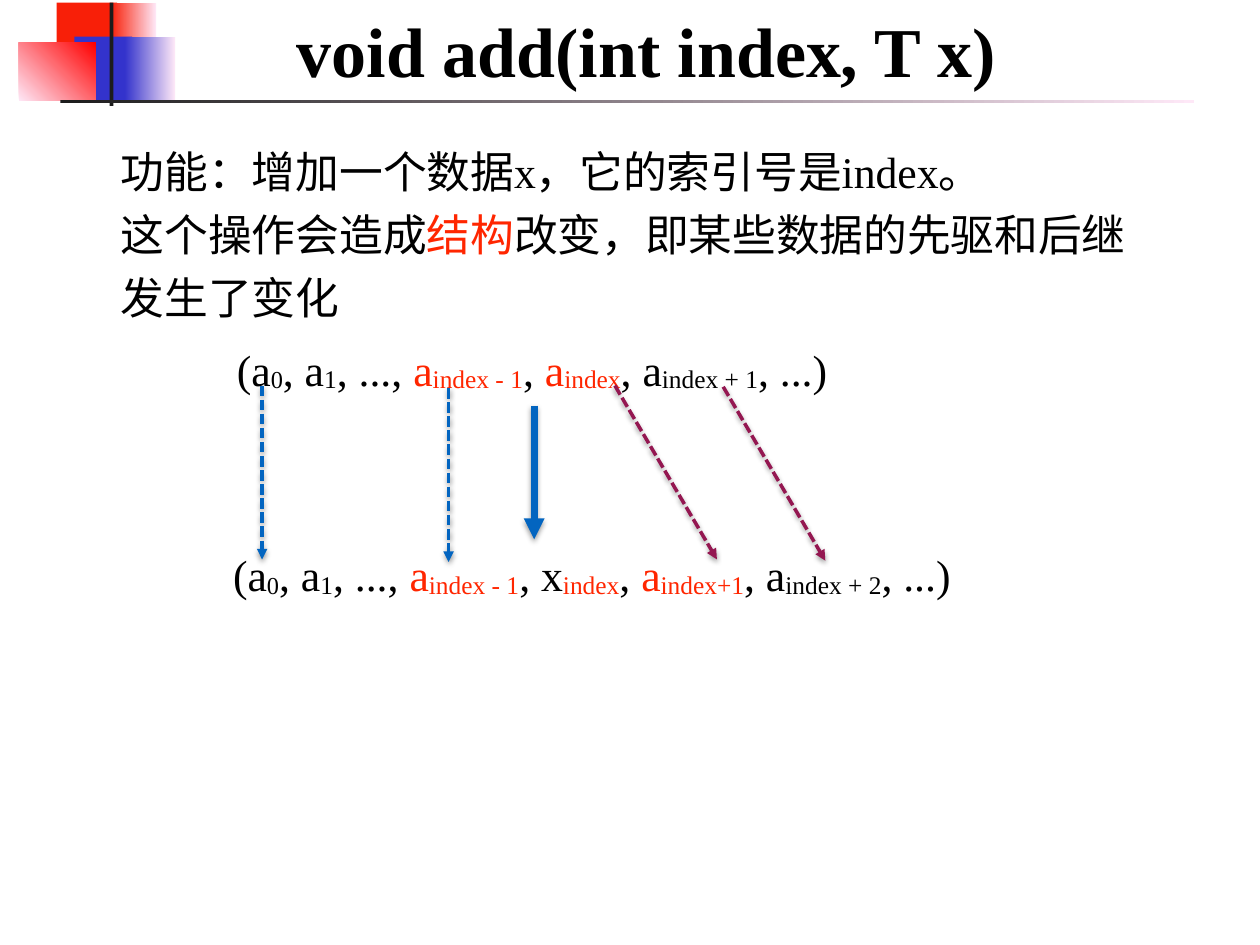
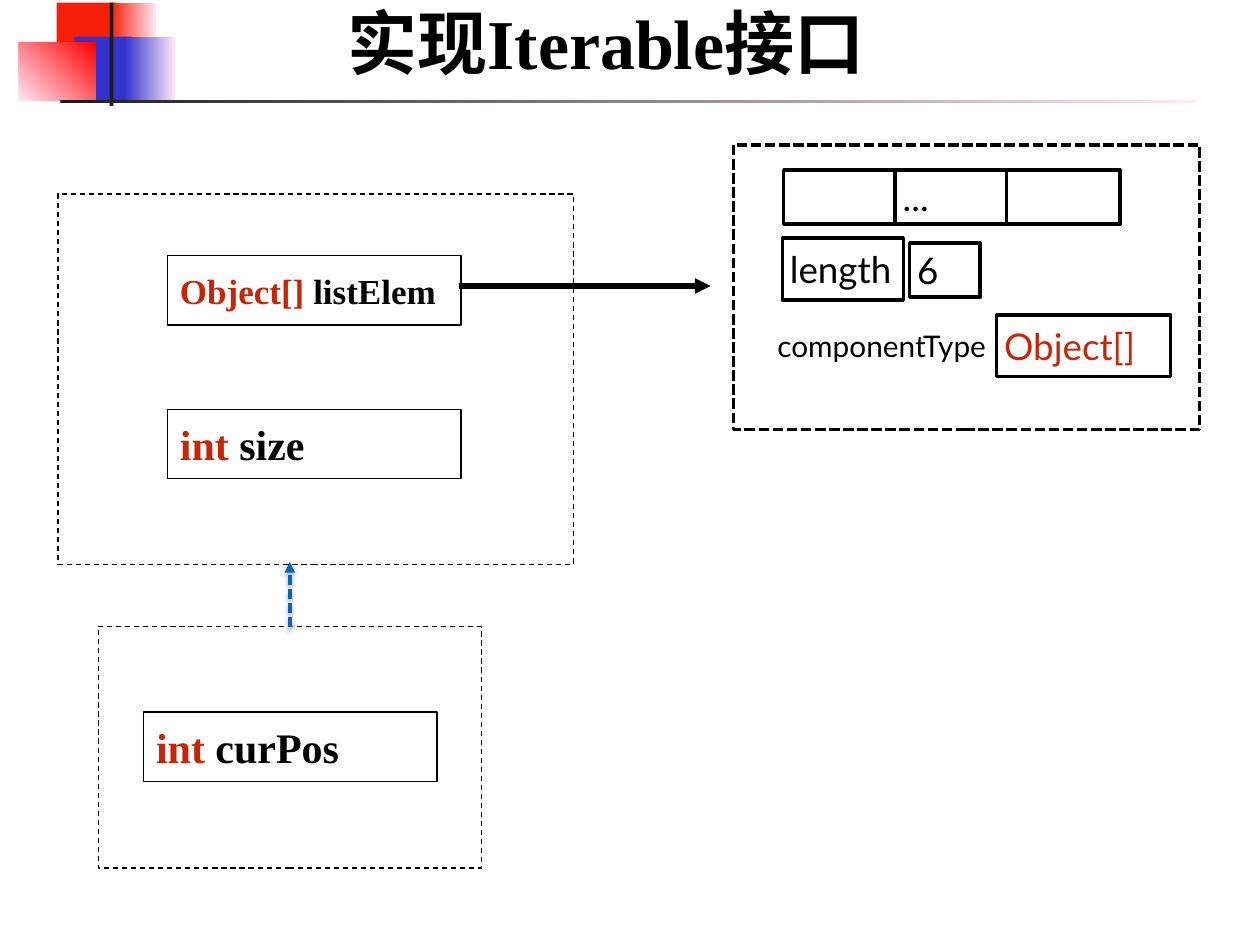
from lxml import etree
from pptx import Presentation
from pptx import util as u
from pptx.dml.color import RGBColor
from pptx.enum import dml, shapes, text
from pptx.oxml.ns import qn

THEME = {
    "black": "000000", "white": "FFFFFF", "ink": "1C1C1C", "pale": "FEE8F7",
    "orange": "F81F08", "red": "FF0000", "violet": "3333CC",
    "highlight": "FF2600", "type": "C82506", "blue": "0365C0", "plum": "941751",
    "serif": "Times New Roman", "sans": "Lato",
    "title": 40, "body": 25, "field": 24, "long_field": 20, "array": 21, "label": 17,
    "inset": 0.06, "field_inset": 0.1,
}
SLIDE_SIZE = (10, 7.5)
SUBSCRIPT = "-6000"
DASH = dml.MSO_LINE.DASH
SHORT_DASH = dml.MSO_LINE.SQUARE_DOT

# place, start colour, end colour, gradient angle (counter-clockwise)
BANDS = [
    ((0.45, 0.02, 0.48, 0.52), "orange", None, 0),
    ((0.88, 0.02, 0.36, 0.52), "orange", "pale", 0),
    ((0.59, 0.29, 0.46, 0.52), "violet", None, 0),
    ((0.99, 0.29, 0.4, 0.52), "violet", "pale", 0),
    ((0.15, 0.34, 0.61, 0.46), "pale", "red", 45),
    ((0.87, 0.02, 0.03, 0.82), "ink", None, 0),
    ((0.48, 0.79, 9, 0.03), "ink", "pale", 0),
]

# Text is a list of paragraphs; a paragraph is a list of (text, style words).
ADD_TITLE = ("void add(int index, T x)", (0.79, 0, 8.68, 0.74))
ADD_BODY = [
    [("功能：增加一个数据x，它的索引号是index。", "")],
    [("这个操作会造成", ""), ("结构", "highlight"), ("改变，即某些数据的先驱和后继", "")],
    [("发生了变化", "")],
]
LIST_START = [("(a", ""), ("0", "sub small"), (", a", ""), ("1", "sub"), (", ..., ", ""),
              ("a", "highlight"), ("index - 1", "highlight sub")]
LISTS = [
    ((1.82, 2.64, 5.13, 0.49),
     LIST_START + [(", ", ""), ("a", "highlight"), ("index", "highlight sub"),
                   (", a", ""), ("index + 1", "sub"), (", ...)", "")]),
    ((1.79, 4.27, 6.24, 0.49),
     LIST_START + [(", x", ""), ("index", "highlight sub"), (", ", ""),
                   ("a", "highlight"), ("index+1", "highlight sub"),
                   (", a", ""), ("index + 2", "sub"), (", ...)", "")]),
]
CHANGE_ARROW = ((4.24, 3.22), (4.24, 4.28))
# start x, end x, top, colour
ELEMENT_ARROWS = [
    (4.88, 5.69, 3.06, "plum"), (5.74, 6.55, 3.07, "plum"),
    (2.08, 2.08, 3.06, "blue"), (3.56, 3.56, 3.08, "blue"),
]
ELEMENT_ARROW_HEIGHT = 1.38

ITERABLE_TITLE = ("实现Iterable接口", (1.01, -0.06, 7.6, 0.89))
# place, line width, dash
OBJECT_FRAMES = [
    ((0.78, 4.97, 3.04, 1.92), 0.75, DASH),
    ((5.82, 1.15, 3.7, 2.26), 2, SHORT_DASH),
    ((0.46, 1.54, 4.09, 2.94), 0.75, DASH),
]
FIELD_SIZE = (2.33, 0.55)
# corner, type, name, size
FIELDS = [
    ((1.14, 5.65), "int", " curPos", "field"),
    ((1.33, 2.03), "Object[]", " listElem", "long_field"),
    ((1.33, 3.25), "int", " size", "field"),
]
ARRAY_CELLS = ["", "...", ""]
ARRAY_CORNER, CELL_SIZE, CELL_STEP = (6.22, 1.35), (0.9, 0.43), 0.885
# place, text, style
ARRAY_FACTS = [
    ((6.21, 1.89, 0.96, 0.49), "length", ""),
    ((7.22, 1.93, 0.56, 0.43), "6", ""),
    ((7.91, 2.5, 1.38, 0.49), "Object[]", "type"),
]
ARRAY_LABEL = ((6.11, 2.54, 1.8, 0.4), "componentType")


def color(name):
    return RGBColor.from_string(THEME[name])


def set_format(target, **values):
    for name, value in values.items():
        setattr(target, name, value)


def inches(lengths):
    return [u.Inches(length) for length in lengths]


def place(shape, box):
    set_format(shape, **dict(zip(("left", "top", "width", "height"), inches(box))))


def write(shape, paragraphs, size, font="serif", bold=False, spacing=1.0,
          align=text.PP_ALIGN.LEFT, anchor=text.MSO_ANCHOR.MIDDLE, left="inset"):
    frame = shape.text_frame
    inset = u.Inches(THEME["inset"])
    set_format(frame, word_wrap=True, auto_size=text.MSO_AUTO_SIZE.NONE,
               vertical_anchor=anchor, margin_left=u.Inches(THEME[left]),
               margin_right=inset, margin_top=inset, margin_bottom=inset)
    for number, runs in enumerate(paragraphs):
        paragraph = frame.add_paragraph() if number else frame.paragraphs[0]
        properties = paragraph._p.get_or_add_pPr()
        properties.set("marL", "0")
        properties.set("indent", "0")
        etree.SubElement(properties, qn("a:buNone"))
        set_format(paragraph, alignment=align, line_spacing=spacing, space_before=u.Pt(0))
        for words, style in runs:
            run = paragraph.add_run()
            run.text = words
            styles = style.split()
            points = THEME[size] - ("small" in styles)
            set_format(run.font, name=THEME[font], size=u.Pt(points), bold=bold)
            tint = next((name for name in styles if name in THEME), "black")
            run.font.color.rgb = color(tint)
            if "sub" in styles:
                run.font._element.set("baseline", SUBSCRIPT)


def add_box(slide, box, line_width=None, dash=None, fill="white"):
    shape = slide.shapes.add_shape(shapes.MSO_SHAPE.RECTANGLE, *inches(box))
    shape.shadow.inherit = False
    shape.fill.solid()
    shape.fill.fore_color.rgb = color(fill)
    if line_width is None:
        shape.line.fill.background()
    else:
        shape.line.color.rgb = color("black")
        set_format(shape.line, width=u.Pt(line_width), dash_style=dash)
    return shape


def add_arrow(slide, start, end, tint, width, dash=None, shadow=True):
    arrow = slide.shapes.add_connector(
        shapes.MSO_CONNECTOR.STRAIGHT, *inches(start + end))
    arrow.line.color.rgb = color(tint)
    set_format(arrow.line, width=u.Pt(width), dash_style=dash)
    properties = arrow.element.spPr
    etree.SubElement(properties.find(qn("a:ln")), qn("a:tailEnd"), type="triangle")
    effects = etree.SubElement(properties, qn("a:effectLst"))
    if shadow:
        outer = etree.SubElement(effects, qn("a:outerShdw"), blurRad=str(u.Pt(3)),
                                 dist=str(u.Pt(1.6)), dir="5400000", rotWithShape="0")
        black = etree.SubElement(outer, qn("a:srgbClr"), val=THEME["black"])
        etree.SubElement(black, qn("a:alpha"), val="38000")


def move_bands_to_master(presentation, slide):
    """Draw the bands on a slide, then hand them to the master that all slides share."""
    tree = presentation.slide_master.shapes.element
    for box, start, end, angle in BANDS:
        band = add_box(slide, box, fill=start)
        if end:
            band.fill.gradient()
            band.fill.gradient_angle = angle
            for stop, name in zip(band.fill.gradient_stops, (start, end)):
                stop.color.rgb = color(name)
        tree.insert_element_before(band.element, "p:extLst")


def add_titled_slide(presentation, layout, title):
    slide = presentation.slides.add_slide(presentation.slide_layouts.get_by_name(layout))
    words, box = title
    place(slide.shapes.title, box)
    write(slide.shapes.title, [[(words, "")]], "title", bold=True,
          align=text.PP_ALIGN.CENTER, anchor=text.MSO_ANCHOR.TOP)
    return slide


def build_add_slide(presentation):
    slide = add_titled_slide(presentation, "Title and Content", ADD_TITLE)
    body = slide.placeholders[1]
    place(body, (0.9, 0.95, 8.3, 1.73))
    write(body, ADD_BODY, "body", spacing=1.2)
    for box, runs in LISTS:
        write(slide.shapes.add_textbox(*inches(box)), [runs], "body", spacing=1.2)
    add_arrow(slide, *CHANGE_ARROW, "blue", 4)
    for start, end, top, tint in ELEMENT_ARROWS:
        add_arrow(slide, (start, top), (end, top + ELEMENT_ARROW_HEIGHT), tint, 2, SHORT_DASH)
    return slide


def build_iterable_slide(presentation):
    slide = add_titled_slide(presentation, "Title Only", ITERABLE_TITLE)
    for box, width, dash in OBJECT_FRAMES:
        add_box(slide, box, width, dash)
    for corner, kind, name, size in FIELDS:
        field = add_box(slide, corner + FIELD_SIZE, 0.75)
        write(field, [[(kind, "type"), (name, "")]], size, bold=True, left="field_inset")
    left, top = ARRAY_CORNER
    for column, words in enumerate(ARRAY_CELLS):
        cell = add_box(slide, (left + column * CELL_STEP, top) + CELL_SIZE, 2)
        if words:
            write(cell, [[(words, "")]], "array", "sans")
    for box, words, style in ARRAY_FACTS:
        write(add_box(slide, box, 2), [[(words, style)]], "array", "sans")
    box, words = ARRAY_LABEL
    write(slide.shapes.add_textbox(*inches(box)), [[(words, "")]], "label", "sans")
    add_arrow(slide, (3.64, 2.27), (5.64, 2.27), "black", 3, shadow=False)
    add_arrow(slide, (2.3, 4.98), (2.3, 4.46), "blue", 2, SHORT_DASH)


def main():
    presentation = Presentation()
    presentation.slide_width, presentation.slide_height = inches(SLIDE_SIZE)
    first_slide = build_add_slide(presentation)
    move_bands_to_master(presentation, first_slide)
    build_iterable_slide(presentation)
    presentation.save("out.pptx")


if __name__ == "__main__":
    main()
